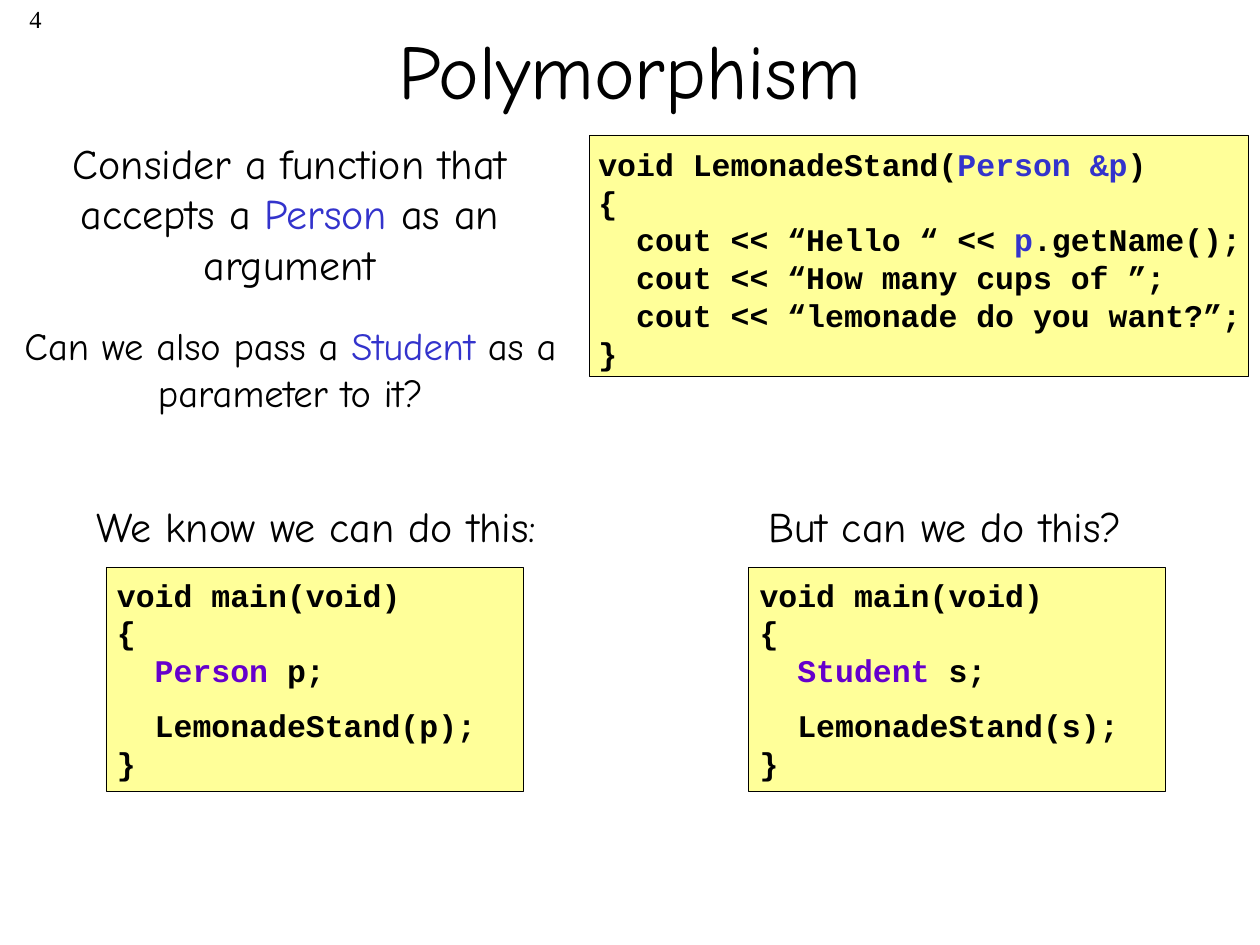
from dataclasses import dataclass
from typing import NamedTuple

from pptx import Presentation
from pptx.dml.color import RGBColor
from pptx.enum.shapes import MSO_SHAPE
from pptx.enum.text import MSO_ANCHOR, PP_ALIGN
from pptx.slide import Slide
from pptx.util import Inches, Pt


@dataclass(frozen=True)
class Theme:
    ink: str = "000000"
    accent: str = "3333CC"
    type_name: str = "6600CC"
    panel: str = "FFFF99"
    prose: str = "Comic Neue"
    code: str = "Courier New"
    number: str = "Times New Roman"
    title_size: int = 44
    lead_size: int = 24
    question_size: int = 22
    code_size: int = 18
    number_size: int = 14
    code_gap: float = 9.6
    leading: float = 1.2
    border: float = 0.25


class Area(NamedTuple):
    """Left, top, width and height in grid cells."""

    column: float
    row: float
    columns: float
    rows: float


class Span(NamedTuple):
    text: str
    color: str


class Line(NamedTuple):
    spans: tuple[Span, ...]
    gap: float = 0


@dataclass(frozen=True)
class Example:
    column: float
    heading: str
    heading_columns: float
    type_name: str
    variable: str


THEME = Theme()
COLUMNS, ROWS = 100, 75
SLIDE_WIDTH, SLIDE_HEIGHT = Inches(10), Inches(7.5)
EXAMPLES = (
    Example(8.4, "We know we can do this:", 39.9, "Person", "p"),
    Example(59.4, "But can we do this?", 32.2, "Student", "s"),
)
HEADING_COLUMNS = (6.7, 60)


def line(*texts: str, color: str = THEME.accent, gap: float = 0) -> Line:
    """Alternate plain and highlighted texts, starting with a plain one."""
    return Line(tuple(Span(text, color if index % 2 else THEME.ink)
                      for index, text in enumerate(texts)), gap)


def place(area: Area) -> tuple[int, int, int, int]:
    """Turn grid cells into slide lengths."""
    across, down = SLIDE_WIDTH / COLUMNS, SLIDE_HEIGHT / ROWS
    return (round(area.column * across), round(area.row * down),
            round(area.columns * across), round(area.rows * down))


def add_text(slide: Slide, area: Area, *lines: Line, size: float = THEME.lead_size,
             font: str = THEME.prose, bold: bool = False,
             align: PP_ALIGN = PP_ALIGN.LEFT,
             anchor: MSO_ANCHOR = MSO_ANCHOR.TOP) -> None:
    """Add a wrapped text box with one paragraph per line."""
    frame = slide.shapes.add_textbox(*place(area)).text_frame
    frame.word_wrap = True
    frame.vertical_anchor = anchor
    for index, content in enumerate(lines):
        paragraph = frame.add_paragraph() if index else frame.paragraphs[0]
        paragraph.alignment = align
        paragraph.line_spacing = Pt(size * THEME.leading)
        if content.gap:
            paragraph.space_before = Pt(content.gap)
        for span in content.spans:
            run = paragraph.add_run()
            run.text = span.text
            run.font.name = font
            run.font.size = Pt(size)
            run.font.bold = bold
            run.font.color.rgb = RGBColor.from_string(span.color)


def add_code(slide: Slide, panel_area: Area, code_area: Area, *lines: Line) -> None:
    """Add a code listing on a bordered panel."""
    panel = slide.shapes.add_shape(MSO_SHAPE.RECTANGLE, *place(panel_area))
    panel.shadow.inherit = False
    panel.fill.solid()
    panel.fill.fore_color.rgb = RGBColor.from_string(THEME.panel)
    panel.line.color.rgb = RGBColor.from_string(THEME.ink)
    panel.line.width = Pt(THEME.border)
    add_text(slide, code_area, *lines, size=THEME.code_size, font=THEME.code, bold=True)


def add_example(slide: Slide, example: Example, heading_column: float) -> None:
    """Add a heading with its main function below."""
    add_code(
        slide,
        Area(example.column, 45, 33.1, 17.8),
        Area(example.column - 0.1, 45.2, 32.6, 17.4),
        line("void main(void)"),
        line("{"),
        line("  ", example.type_name, f" {example.variable};", color=THEME.type_name),
        line(f"  LemonadeStand({example.variable});", gap=THEME.code_gap),
        line("}"),
    )
    add_text(slide, Area(heading_column, 39.2, example.heading_columns, 5),
             line(example.heading))


def main() -> None:
    """Build and save the slide."""
    deck = Presentation()
    deck.slide_width, deck.slide_height = SLIDE_WIDTH, SLIDE_HEIGHT
    slide = deck.slides.add_slide(deck.slide_layouts[6])
    add_text(slide, Area(0, -0.2, 4.3, 5), line("4"), size=THEME.number_size,
             font=THEME.number, align=PP_ALIGN.RIGHT)
    add_text(slide, Area(7.5, -0.8, 85, 12.5), line("Polymorphism"),
             size=THEME.title_size, align=PP_ALIGN.CENTER, anchor=MSO_ANCHOR.MIDDLE)
    add_text(slide, Area(0, 10.4, 46, 13),
             line("Consider a function that accepts a ", "Person", " as an argument"),
             align=PP_ALIGN.CENTER)
    add_code(
        slide,
        Area(46.8, 10.7, 52.3, 19.2),
        Area(46.5, 11, 53.5, 18.9),
        line("void LemonadeStand(", "Person &p", ")"),
        line("{"),
        line("  cout << “Hello “ << ", "p", ".getName();"),
        line("  cout << “How many cups of ”;"),
        line("  cout << “lemonade do you want?”;"),
        line("}"),
    )
    add_text(slide, Area(0, 25.1, 46.1, 8.3),
             line("Can we also pass a ", "Student", " as a parameter to it?"),
             size=THEME.question_size, align=PP_ALIGN.CENTER)
    for example, heading_column in zip(EXAMPLES, HEADING_COLUMNS):
        add_example(slide, example, heading_column)
    deck.save("out.pptx")


if __name__ == "__main__":
    main()
